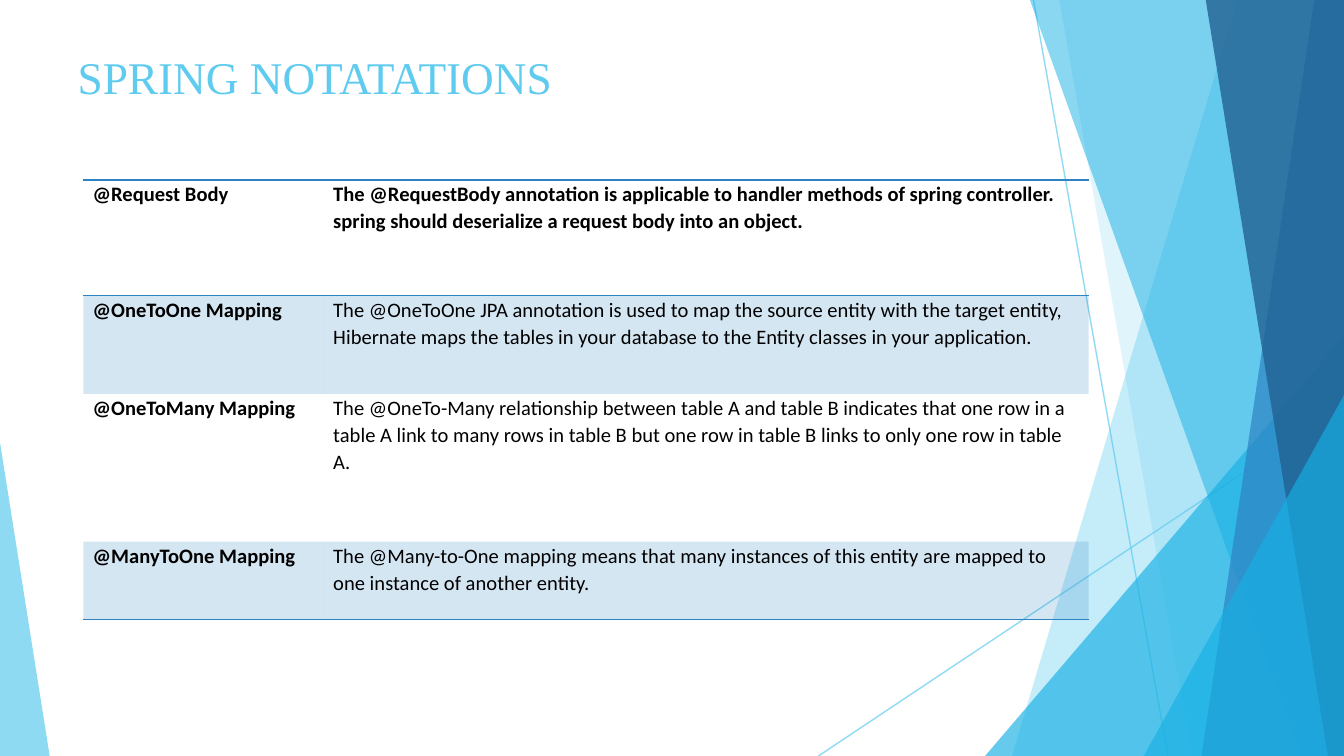
from lxml.etree import SubElement
from pptx import Presentation
from pptx.dml.color import RGBColor
from pptx.enum.shapes import MSO_CONNECTOR, MSO_SHAPE
from pptx.enum.text import MSO_ANCHOR
from pptx.oxml import parse_xml
from pptx.oxml.ns import nsdecls, qn
from pptx.util import Inches, Pt

SKY, CYAN, BLUE, NAVY, BLACK = "5FCBEF", "17B0E4", "2E83C3", "226292", "000000"
WIDTH = 10
HEIGHT = WIDTH * 9 / 16
TOP = -0.01
NO_STYLE = "{2D5ABB26-0587-4C30-8999-92F81FD0307C}"

RAYS = [((7.69, 0), (8.69, HEIGHT)), ((WIDTH, 3.02), (6.09, HEIGHT))]
BACK_BANDS = [(9.21, 7.53, SKY, 36), (7.88, 8.87, SKY, 20)]
FRONT_BANDS = [
    (7.66, 9.68, CYAN, 50),
    (9.78, 8.94, BLUE, 70),
    (8.97, 9.88, NAVY, 80),
]
COLUMN_WIDTHS = [1.79, 5.69]
ROW_HEIGHTS = [0.86, 0.73, 1.1, 0.58]
ANNOTATIONS = [
    ("@Request Body",
     "The @RequestBody annotation is applicable to handler methods of spring controller. "
     "spring should deserialize a request body into an object."),
    ("@OneToOne Mapping",
     "The @OneToOne JPA annotation is used to map the source entity with the target entity, "
     "Hibernate maps the tables in your database to the Entity classes in your application."),
    ("@OneToMany Mapping",
     "The @OneTo-Many relationship between table A and table B indicates that one row in a "
     "table A link to many rows in table B but one row in table B links to only one row in table A."),
    ("@ManyToOne Mapping",
     "The @Many-to-One mapping means that many instances of this entity are mapped to "
     "one instance of another entity."),
]


def color(value):
    """Turn a hex string into a colour."""
    return RGBColor.from_string(value)


def paint(fill, value, opacity):
    """Set a solid fill with an opacity in percent."""
    fill.solid()
    fill.fore_color.rgb = color(value)
    solid = fill._xPr.find(qn("a:solidFill"))
    SubElement(solid[0], qn("a:alpha"), val=str(opacity * 1000))


def finish(facet, value, opacity):
    """Give a decorative shape its fill and no outline or shadow."""
    facet.shadow.inherit = False
    paint(facet.fill, value, opacity)
    facet.line.fill.background()


def add_ray(slide, start, end):
    """Draw one thin translucent line."""
    ray = slide.shapes.add_connector(
        MSO_CONNECTOR.STRAIGHT, *(Inches(n) for n in start + end))
    ray.line.width = Pt(0.75)
    paint(ray.line.fill, SKY, 70)
    SubElement(ray._element.spPr, qn("a:effectLst"))


def add_band(slide, top_x, bottom_x, value, opacity):
    """Draw a band from a slanted left edge to the slide's right edge."""
    builder = slide.shapes.build_freeform(Inches(top_x), Inches(TOP))
    corners = [(WIDTH, TOP), (WIDTH, HEIGHT), (bottom_x, HEIGHT)]
    builder.add_line_segments([(Inches(x), Inches(y)) for x, y in corners])
    finish(builder.convert_to_shape(), value, opacity)


def add_triangle(slide, left, top, width, apex, value, opacity):
    """Draw a triangle that stands on the slide's bottom edge."""
    triangle = slide.shapes.add_shape(
        MSO_SHAPE.ISOSCELES_TRIANGLE,
        Inches(left), Inches(top), Inches(width), Inches(HEIGHT - top))
    triangle.adjustments[0] = apex
    finish(triangle, value, opacity)


def add_text(paragraph, text, font, size, value, bold=False):
    """Add one formatted run to a paragraph."""
    run = paragraph.add_run()
    run.text = text
    run.font.name = font
    run.font.size = Pt(size)
    run.font.bold = bold
    run.font.color.rgb = color(value)


def add_title(slide, text):
    """Add the slide heading."""
    heading = slide.shapes.add_textbox(
        Inches(0.48), Inches(0.32), Inches(8.43), Inches(0.63)).text_frame
    heading.word_wrap = True
    heading.vertical_anchor = MSO_ANCHOR.TOP
    heading.margin_left = Inches(0.1)
    heading.margin_top = Inches(0.05)
    add_text(heading.paragraphs[0], text, "Times New Roman", 24.3, SKY)


def add_borders(cell, sides):
    """Draw one-point rules on the named sides of a cell."""
    properties = cell._tc.get_or_add_tcPr()
    for index, side in enumerate(sides):
        properties.insert(index, parse_xml(
            f'<a:ln{side} {nsdecls("a")} w="12700"><a:solidFill>'
            f'<a:srgbClr val="{BLUE}"/></a:solidFill></a:ln{side}>'))


def fill_cell(cell, text, bold, shaded):
    """Write and shade one table cell."""
    cell.margin_left = cell.margin_right = Inches(0.07)
    cell.margin_top = cell.margin_bottom = 0
    paragraph = cell.text_frame.paragraphs[0]
    paragraph.line_spacing = 1.07
    paragraph.space_after = Pt(8)
    add_text(paragraph, text, "Calibri", 11, BLACK, bold)
    if shaded:
        paint(cell.fill, BLUE, 20)
    else:
        cell.fill.background()


def add_annotation_table(slide):
    """Add the table of annotations and their meanings."""
    table = slide.shapes.add_table(
        len(ROW_HEIGHTS), len(COLUMN_WIDTHS), Inches(0.62), Inches(1.34),
        Inches(sum(COLUMN_WIDTHS)), Inches(sum(ROW_HEIGHTS))).table
    table.horz_banding = False
    table._tbl.tblPr.find(qn("a:tableStyleId")).text = NO_STYLE
    for column, width in zip(table.columns, COLUMN_WIDTHS):
        column.width = Inches(width)
    for row, height in zip(table.rows, ROW_HEIGHTS):
        row.height = Inches(height)
    borders = {0: "TB", len(ROW_HEIGHTS) - 1: "B"}
    for r, annotation in enumerate(ANNOTATIONS):
        for c, text in enumerate(annotation):
            cell = table.cell(r, c)
            fill_cell(cell, text, bold=r == 0 or c == 0, shaded=r % 2 == 1)
            add_borders(cell, borders.get(r, ""))


def main():
    """Build and save the slide."""
    deck = Presentation()
    deck.slide_width, deck.slide_height = Inches(WIDTH), Inches(HEIGHT)
    slide = deck.slides.add_slide(deck.slide_layouts[6])
    for start, end in RAYS:
        add_ray(slide, start, end)
    for band in BACK_BANDS:
        add_band(slide, *band)
    add_triangle(slide, 7.33, 2.5, 2.67, 1, CYAN, 66)
    for band in FRONT_BANDS:
        add_band(slide, *band)
    add_triangle(slide, 8.51, 2.94, 1.49, 1, CYAN, 66)
    add_triangle(slide, 0, 3.29, 0.37, 0, SKY, 70)
    add_title(slide, "SPRING NOTATATIONS")
    add_annotation_table(slide)
    deck.save("out.pptx")


if __name__ == "__main__":
    main()
